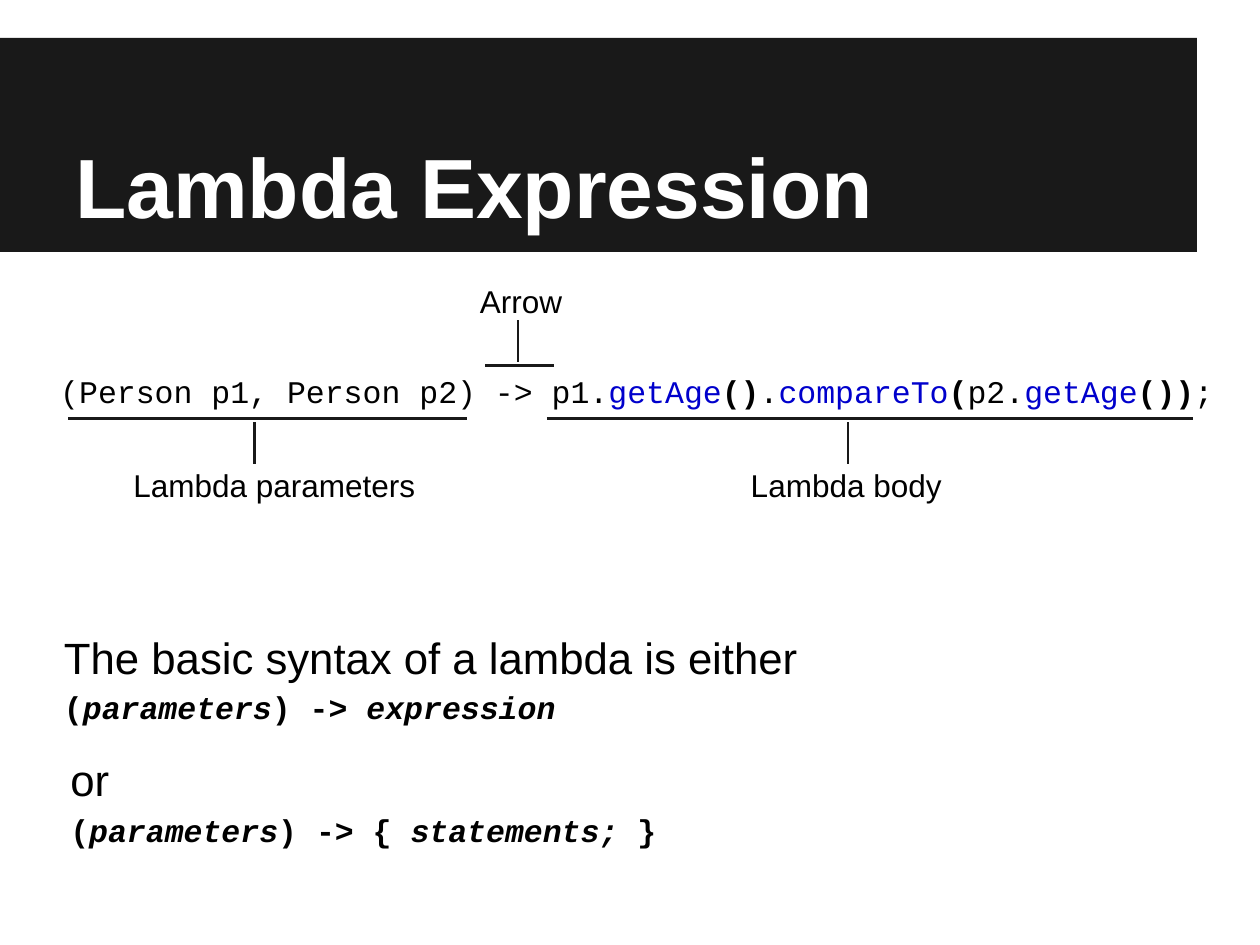
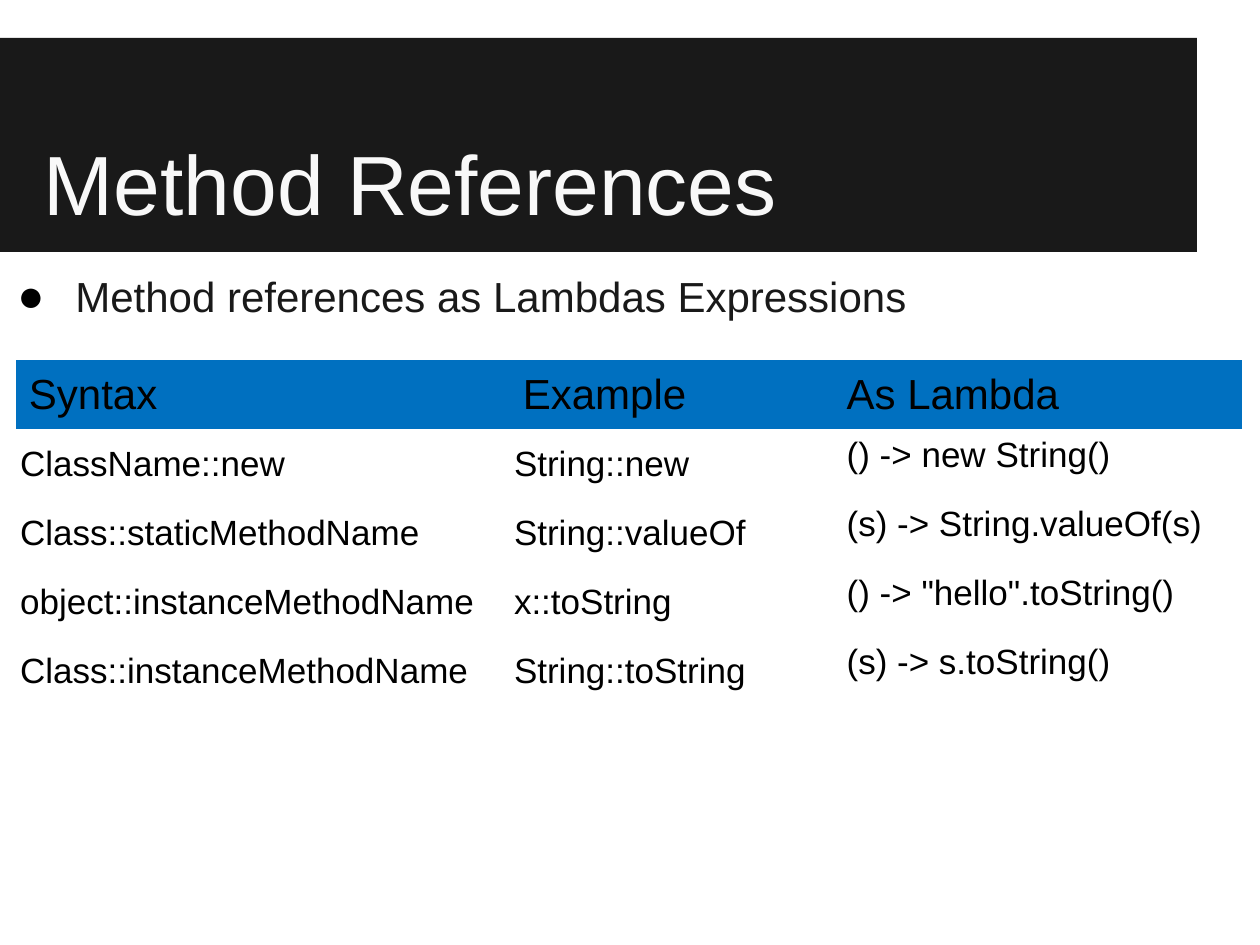
from pptx import Presentation
from pptx import util as u
from pptx.dml.color import RGBColor
from pptx.enum import shapes, text
from pptx.oxml.ns import qn
from lxml import etree

COLORS = {
    "band": "191919",
    "bold_title": "FFFFFF",
    "plain_title": "F8F8F8",
    "ink": "000000",
    "method": "0000CC",
    "header": "0070C0",
}
SANS, MONO = "Arial", "Courier New"
NO_GRID = "{2D5ABB26-0587-4C30-8999-92F81FD0307C}"


def color(name):
    return RGBColor.from_string(COLORS[name])


def style(run, size, font=SANS, ink="ink", bold=False, italic=False):
    run.font.size = u.Pt(size)
    run.font.name = font
    run.font.color.rgb = color(ink)
    run.font.bold = bold
    run.font.italic = italic


def add_runs(paragraph, pieces, **shared):
    for words, look in pieces:
        run = paragraph.add_run()
        run.text = words
        style(run, **{**shared, **look})


def add_text(slide, box, paragraphs, spacing=1.0, anchor=text.MSO_ANCHOR.TOP):
    frame = slide.shapes.add_textbox(*map(u.Inches, box)).text_frame
    frame.word_wrap = True
    frame.vertical_anchor = anchor
    frame.margin_left = frame.margin_right = u.Inches(0.1)
    frame.margin_top = frame.margin_bottom = u.Inches(0.1)
    for index, (pieces, shared) in enumerate(paragraphs):
        paragraph = frame.add_paragraph() if index else frame.paragraphs[0]
        paragraph.line_spacing = spacing
        add_runs(paragraph, pieces, **shared)
    return frame


def add_line(slide, start, end):
    line = slide.shapes.add_connector(
        shapes.MSO_CONNECTOR.STRAIGHT, *map(u.Inches, start + end))
    line.line.color.rgb = color("band")
    line.line.width = u.Pt(1.5)
    etree.SubElement(line.element.spPr, qn("a:effectLst"))


def title_band(slide, title, box, ink, bold):
    band = slide.shapes.add_shape(
        shapes.MSO_SHAPE.RECTANGLE, *map(u.Inches, (0, 0.3, 9.5, 1.7)))
    band.shadow.inherit = False
    band.fill.solid()
    band.fill.fore_color.rgb = color("band")
    band.line.fill.background()
    look = {"size": 48, "ink": ink, "bold": bold}
    add_text(slide, box, [([(title, {})], look)], anchor=text.MSO_ANCHOR.BOTTOM)


def callout(slide, label, rule, stem_x, label_box, direction):
    left, right, y = rule
    add_line(slide, (left, y), (right, y))
    add_line(slide, (stem_x, y + direction * 0.03), (stem_x, y + direction * 0.36))
    add_text(slide, label_box, [([(label, {})], {"size": 18})])


def syntax_form(slide, box, lead, code):
    add_text(slide, box, [
        ([(lead, {})], {"size": 25}),
        (code, {"size": 18, "font": MONO, "bold": True}),
    ], spacing=1.15)


def lambda_slide(slide):
    title_band(slide, "Lambda Expression", (0.5, 0.31, 9, 1.66), "bold_title", True)

    method, bold, italic = {"ink": "method"}, {"bold": True}, {"italic": True}
    code = [
        ("(Person p1, Person p2) -> p1.", {}), ("getAge", method), ("()", bold),
        (".", {}), ("compareTo", method), ("(", bold), ("p2.", {}),
        ("getAge", method), ("())", bold), (";", {}),
    ]
    add_text(slide, (0.38, 2.81, 9.44, 0.51),
             [(code, {"size": 18, "font": MONO})], spacing=1.15)

    callout(slide, "Lambda parameters", (0.54, 3.71, 3.32), 2.02,
            (0.96, 3.6, 2.49, 0.77), 1)
    callout(slide, "Lambda body", (4.34, 9.47, 3.32), 6.73,
            (5.86, 3.6, 2.49, 0.77), 1)
    callout(slide, "Arrow", (3.85, 4.4, 2.9), 4.11, (3.71, 2.14, 0.92, 0.51), -1)

    syntax_form(slide, (0.41, 4.84, 9.44, 1.05),
                "The basic syntax of a lambda is either",
                [("(", {}), ("parameters", italic), (") -> ", {}),
                 ("expression", italic)])
    syntax_form(slide, (0.46, 5.81, 9.44, 0.87), "or",
                [("(", {}), ("parameters", italic), (") -> { ", {}),
                 ("statements;", italic), (" }", {})])


def bullet_point(slide, box, words):
    frame = add_text(slide, box, [([(words, {})], {"size": 24, "ink": "band"})],
                     spacing=1.15)
    props = frame.paragraphs[0]._p.get_or_add_pPr()
    props.set("marL", str(u.Inches(0.5)))
    props.set("indent", str(u.Inches(-0.46)))
    bullet_color = etree.SubElement(props, qn("a:buClr"))
    etree.SubElement(bullet_color, qn("a:srgbClr"), val=COLORS["ink"])
    etree.SubElement(props, qn("a:buSzPct"), val="107000")
    etree.SubElement(props, qn("a:buFont"), typeface=SANS)
    etree.SubElement(props, qn("a:buChar"), char="●")


def reference_table(slide, box, widths, rows):
    frame = slide.shapes.add_table(len(rows), len(widths), *map(u.Inches, box))
    for style_id in frame.element.iter(qn("a:tableStyleId")):
        style_id.text = NO_GRID
    table = frame.table
    table.horz_banding = False
    for column, width in zip(table.columns, widths):
        column.width = u.Inches(width)
    for r, row in enumerate(rows):
        for c, words in enumerate(row):
            cell = table.cell(r, c)
            is_header, is_lambda = r == 0, c == len(widths) - 1
            cell.margin_left = cell.margin_right = u.Inches(
                0.1 if is_header or is_lambda else 0.03)
            cell.vertical_anchor = (
                text.MSO_ANCHOR.TOP if is_lambda and not is_header
                else text.MSO_ANCHOR.MIDDLE)
            if is_header:
                cell.fill.solid()
                cell.fill.fore_color.rgb = color("header")
            else:
                cell.fill.background()
            cell.text_frame.text = words
            style(cell.text_frame.paragraphs[0].runs[0], 24 if is_header else 20)


def references_slide(slide):
    title_band(slide, "Method References", (0.25, 1.02, 9, 0.92), "plain_title", False)
    bullet_point(slide, (0, 1.99, 9, 5.05), "Method references as Lambdas Expressions")
    reference_table(slide, (0.13, 2.86, 9.73, 2.74), (3.92, 2.57, 3.24), [
        ("Syntax", "Example", "As Lambda"),
        ("ClassName::new", "String::new", "() -> new String()"),
        ("Class::staticMethodName", "String::valueOf", "(s) -> String.valueOf(s)"),
        ("object::instanceMethodName", "x::toString", '() -> "hello".toString()'),
        ("Class::instanceMethodName", "String::toString", "(s) -> s.toString()"),
    ])


def main():
    deck = Presentation()
    deck.slide_width, deck.slide_height = u.Inches(10), u.Inches(7.5)
    for build in (lambda_slide, references_slide):
        build(deck.slides.add_slide(deck.slide_layouts[6]))
    deck.save("out.pptx")


if __name__ == "__main__":
    main()
